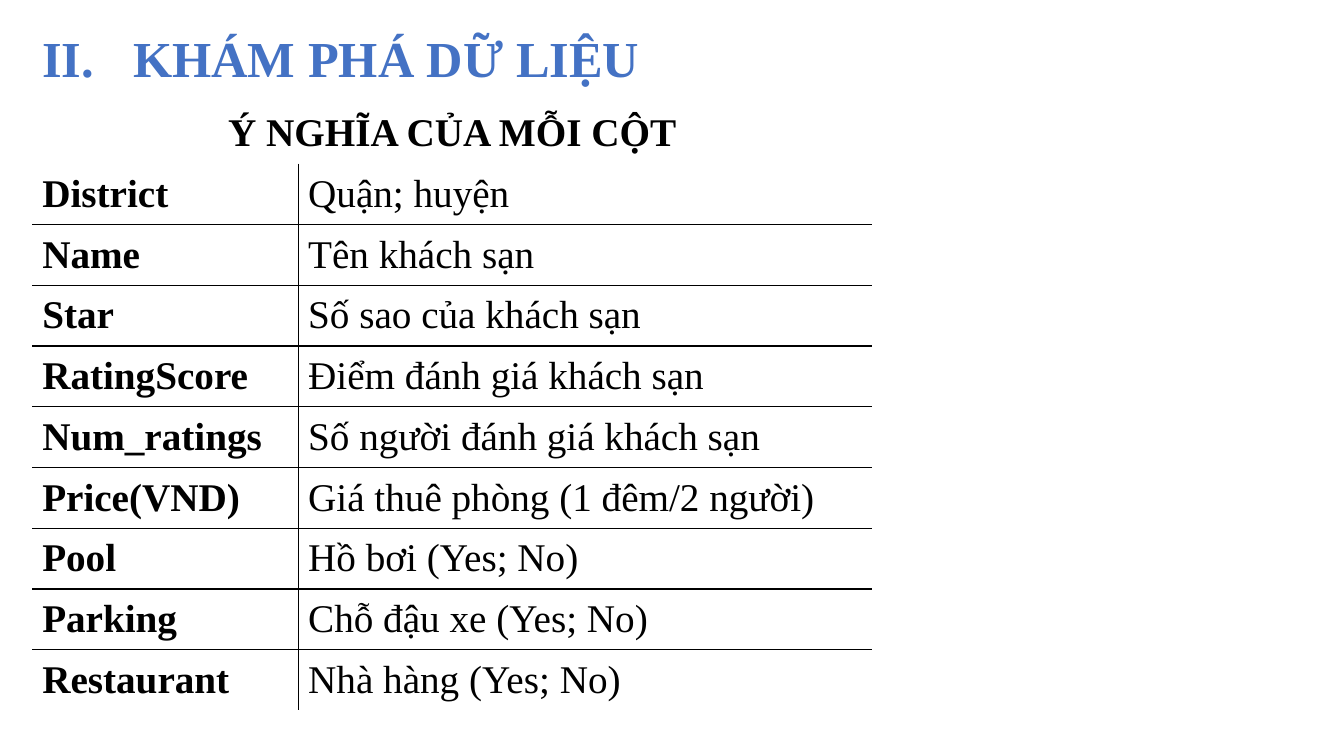
from dataclasses import dataclass

from lxml.etree import SubElement
from pptx import Presentation
from pptx.dml.color import RGBColor
from pptx.enum.text import MSO_ANCHOR, MSO_AUTO_SIZE, PP_ALIGN
from pptx.oxml.ns import qn
from pptx.util import Pt


@dataclass(frozen=True)
class Theme:
    """Colours, font and type sizes of the slide."""
    font: str = "Times New Roman"
    accent: str = "4472C4"
    ink: str = "000000"
    title_size: int = 36
    table_size: int = 28
    rule_width: int = 1


THEME = Theme()
NO_GRID_STYLE = "{2D5ABB26-0587-4C30-8999-92F81FD0307C}"
LEFT = 23
TITLE_INDENT = 65
COLUMN_WIDTHS = (190, 410)
ROW_HEIGHT = 43.4
HEADING = "Ý NGHĨA CỦA MỖI CỘT"
MEANINGS = (
    ("District", "Quận; huyện"),
    ("Name", "Tên khách sạn"),
    ("Star", "Số sao của khách sạn"),
    ("RatingScore", "Điểm đánh giá khách sạn"),
    ("Num_ratings", "Số người đánh giá khách sạn"),
    ("Price(VND)", "Giá thuê phòng (1 đêm/2 người)"),
    ("Pool", "Hồ bơi (Yes; No)"),
    ("Parking", "Chỗ đậu xe (Yes; No)"),
    ("Restaurant", "Nhà hàng (Yes; No)"),
)


def style_text(paragraph, size, color, bold, align=PP_ALIGN.LEFT):
    """Set the font and alignment of a paragraph."""
    paragraph.alignment = align
    font = paragraph.font
    font.name = THEME.font
    font.size = Pt(size)
    font.bold = bold
    font.color.rgb = RGBColor.from_string(color)


def add_title(slide, text):
    """Fill the title placeholder with a numbered heading."""
    title = slide.shapes.title
    title.left, title.top, title.width, title.height = Pt(LEFT), Pt(21), Pt(828), Pt(72)
    frame = title.text_frame
    frame.text = text
    frame.auto_size = MSO_AUTO_SIZE.NONE
    frame.vertical_anchor = MSO_ANCHOR.TOP
    heading = frame.paragraphs[0]
    heading.line_spacing = 0.9
    heading.space_before = Pt(10)
    style_text(heading, THEME.title_size, THEME.accent, True)
    properties = heading._p.get_or_add_pPr()
    properties.set("marL", str(Pt(TITLE_INDENT)))
    properties.set("indent", str(-Pt(TITLE_INDENT)))


def draw_borders(cell, sides):
    """Rule the named sides of a cell, given in the order L, R, T, B."""
    properties = cell._tc.get_or_add_tcPr()
    for side in sides:
        rule = SubElement(properties, qn(f"a:ln{side}"), w=str(Pt(THEME.rule_width)))
        fill = SubElement(rule, qn("a:solidFill"))
        SubElement(fill, qn("a:srgbClr"), val=THEME.ink)


def fill_cell(cell, text, bold, align=PP_ALIGN.LEFT, sides=""):
    """Write, rule and format one table cell."""
    cell.text = text
    cell.vertical_anchor = MSO_ANCHOR.MIDDLE
    style_text(cell.text_frame.paragraphs[0], THEME.table_size, THEME.ink, bold, align)
    draw_borders(cell, sides)
    cell.fill.background()


def add_meanings_table(slide):
    """Add the table that explains each data column."""
    row_count = len(MEANINGS) + 1
    table = slide.shapes.add_table(
        row_count, len(COLUMN_WIDTHS), Pt(LEFT), Pt(73.5),
        Pt(sum(COLUMN_WIDTHS)), Pt(ROW_HEIGHT * row_count),
    ).table
    table._tbl.tblPr.find(qn("a:tableStyleId")).text = NO_GRID_STYLE
    table.first_row = table.horz_banding = False
    for column, width in zip(table.columns, COLUMN_WIDTHS):
        column.width = Pt(width)
    for row in table.rows:
        row.height = Pt(ROW_HEIGHT)

    table.cell(0, 0).merge(table.cell(0, 1))
    fill_cell(table.cell(0, 0), HEADING, True, PP_ALIGN.CENTER)
    for index, (name, meaning) in enumerate(MEANINGS, start=1):
        level = ("T" if index > 1 else "") + ("B" if index < len(MEANINGS) else "")
        fill_cell(table.cell(index, 0), name, True, sides="R" + level)
        fill_cell(table.cell(index, 1), meaning, False, sides="L" + level)


def main():
    """Build the slide and save it."""
    presentation = Presentation()
    presentation.slide_width, presentation.slide_height = Pt(960), Pt(540)
    slide = presentation.slides.add_slide(presentation.slide_layouts[5])
    add_title(slide, "II.\tKHÁM PHÁ DỮ LIỆU")
    add_meanings_table(slide)
    presentation.save("out.pptx")


if __name__ == "__main__":
    main()
